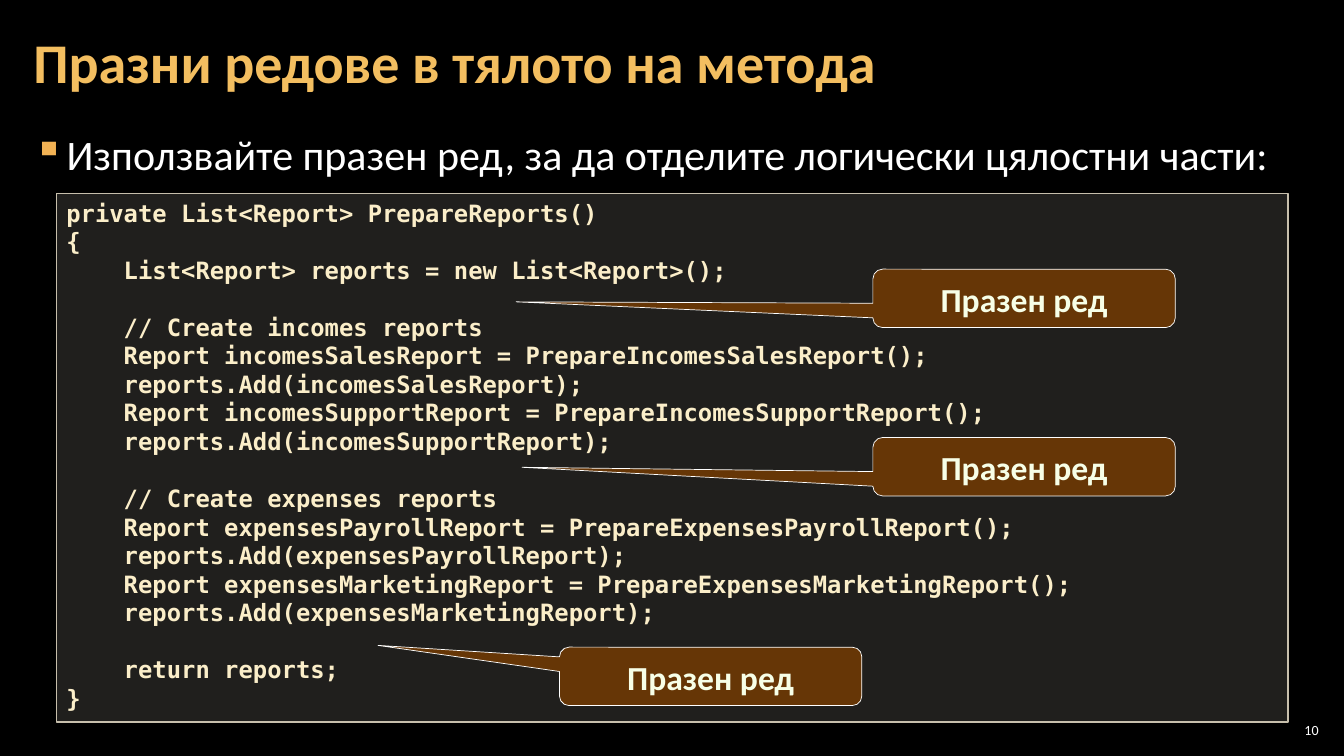
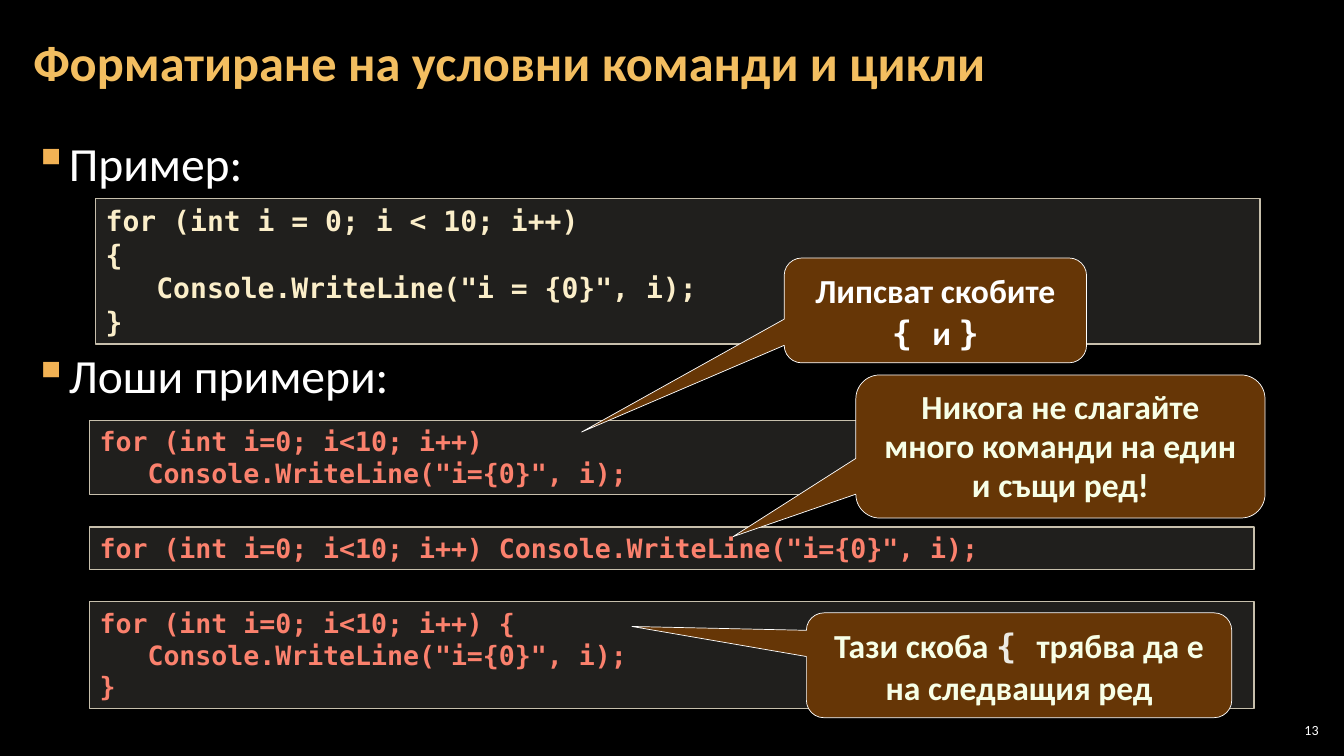
"""Build two slides on the formatting of code."""
import lxml.etree
import pptx
import pptx.dml.color
import pptx.enum.shapes
import pptx.enum.text
import pptx.oxml.ns
import pptx.util

WIDTH, HEIGHT = pptx.util.Inches(13.333), pptx.util.Inches(7.5)
SANS, MONO = "Calibri", "DejaVu Sans Mono"
BLACK, WHITE, GOLD, ORANGE = "000000", "FFFFFF", "F3BE60", "F2B254"
PANEL, PANEL_LINE, CREAM, RED = "D9D5C7", "C7BFAC", "FBEEC9", "FB816D"
BROWN, PALE, GREY = "663606", "F7FFE7", "ECEAE3"
LINE_PITCH, LINE_ROOM = 1.2, 1.21
ALIGN = pptx.enum.text.PP_ALIGN
ANCHOR = pptx.enum.text.MSO_ANCHOR
SHAPE = pptx.enum.shapes.MSO_SHAPE

METHOD_CODE = """private List<Report> PrepareReports()
{
    List<Report> reports = new List<Report>();

    // Create incomes reports
    Report incomesSalesReport = PrepareIncomesSalesReport();
    reports.Add(incomesSalesReport);
    Report incomesSupportReport = PrepareIncomesSupportReport();
    reports.Add(incomesSupportReport);

    // Create expenses reports
    Report expensesPayrollReport = PrepareExpensesPayrollReport();
    reports.Add(expensesPayrollReport);
    Report expensesMarketingReport = PrepareExpensesMarketingReport();
    reports.Add(expensesMarketingReport);

    return reports;
}"""
GOOD_LOOP = """for (int i = 0; i < 10; i++)
{
   Console.WriteLine("i = {0}", i);
}"""
BAD_LOOPS = [
    """for (int i=0; i<10; i++)
   Console.WriteLine("i={0}", i);""",
    """for (int i=0; i<10; i++) Console.WriteLine("i={0}", i);""",
    """for (int i=0; i<10; i++) {
   Console.WriteLine("i={0}", i);
}""",
]


def color(value):
    """Turn a hex string into a colour."""
    return pptx.dml.color.RGBColor.from_string(value)


def place(left, top, width, height):
    """Turn percentages of the slide's size into lengths."""
    shares = zip((left, top, width, height), (WIDTH, HEIGHT, WIDTH, HEIGHT))
    return [round(share * full / 100) for share, full in shares]


def assign(target, values):
    """Set each named attribute of the target."""
    for name, value in values.items():
        setattr(target, name, value)


def style(name, size, ink, bold=False):
    """Gather the format of a run."""
    return {"name": name, "size": pptx.util.Pt(size), "bold": bold, "ink": ink}


def add_runs(paragraph, text, run_style):
    """Add text in one style, with a line break at each vertical tab."""
    for index, part in enumerate(text.split("\v")):
        if index:
            paragraph.add_line_break()
        if part:
            run = paragraph.add_run()
            run.text = part
            assign(run.font, {key: run_style[key] for key in ("name", "size", "bold")})
            run.font.color.rgb = color(run_style["ink"])


def next_paragraph(frame):
    """Return the empty first paragraph, or a new one."""
    first = frame.paragraphs[0]
    return frame.add_paragraph() if first.runs else first


def add_text(slide, box, anchor=ANCHOR.TOP, inset=0.12):
    """Add a wrapped text box and return its frame."""
    frame = slide.shapes.add_textbox(*place(*box)).text_frame
    side, edge = pptx.util.Inches(inset), pptx.util.Inches(0.04)
    assign(frame, {"word_wrap": True, "vertical_anchor": anchor,
                   "margin_left": side, "margin_right": side,
                   "margin_top": edge, "margin_bottom": edge})
    return frame


def add_shape(slide, kind, box, fill, line, line_width):
    """Add a filled and outlined shape with its text at the top."""
    shape = slide.shapes.add_shape(kind, *place(*box))
    shape.shadow.inherit = False
    shape.fill.solid()
    shape.fill.fore_color.rgb = color(fill)
    shape.line.color.rgb = color(line)
    shape.line.width = pptx.util.Pt(line_width)
    assign(shape.text_frame, {"word_wrap": True, "vertical_anchor": ANCHOR.TOP})
    return shape


def add_slide(presentation, title, title_size, number):
    """Add a slide with its title and number."""
    slide = presentation.slides.add_slide(presentation.slide_layouts[6])
    heading = add_text(slide, (1.58, 0.53, 96.83, 16.13), ANCHOR.MIDDLE).paragraphs[0]
    heading.line_spacing = 0.9
    add_runs(heading, title, style(SANS, title_size, GOLD, True))
    footer = add_text(slide, (94.88, 95.2, 3.53, 2.8), ANCHOR.MIDDLE, 0.04).paragraphs[0]
    footer.alignment = ALIGN.RIGHT
    add_runs(footer, number, style(SANS, 10, WHITE))
    return slide


def add_bullets(slide, texts, size, line_spacing, gap=0):
    """Add bulleted paragraphs with a gap between them."""
    frame = add_text(slide, (1.58, 16.8, 96.83, 81.2))
    indent = pptx.util.Inches(0.33)
    for index, text in enumerate(texts):
        paragraph = next_paragraph(frame)
        properties = paragraph._p.get_or_add_pPr()
        properties.set("marL", str(indent))
        properties.set("indent", str(-indent))
        qualify = pptx.oxml.ns.qn
        bullet_color = lxml.etree.SubElement(properties, qualify("a:buClr"))
        lxml.etree.SubElement(bullet_color, qualify("a:srgbClr"), val=ORANGE)
        lxml.etree.SubElement(properties, qualify("a:buChar"), char="▪")
        assign(paragraph, {"line_spacing": line_spacing, "space_after": pptx.util.Pt(6),
                           "space_before": pptx.util.Pt(gap if index else 0)})
        add_runs(paragraph, text, style(SANS, size, WHITE))


def code_height(code, size):
    """Return the height of a code panel as a percentage."""
    points = len(code.split("\n")) * size * LINE_ROOM + 7.2
    return pptx.util.Pt(points) / HEIGHT * 100


def add_code(slide, code, left, top, width, size, ink=CREAM):
    """Add a translucent panel of code and return its bottom."""
    height = code_height(code, size)
    shape = add_shape(slide, SHAPE.RECTANGLE, (left, top, width, height), PANEL, PANEL_LINE, 1)
    tint = shape.fill._xPr.find(".//" + pptx.oxml.ns.qn("a:srgbClr"))
    lxml.etree.SubElement(tint, pptx.oxml.ns.qn("a:alpha"), val="15000")
    for line in code.replace("\n\n", "\n\v").split("\n"):
        paragraph = next_paragraph(shape.text_frame)
        assign(paragraph, {"alignment": ALIGN.LEFT,
                           "line_spacing": pptx.util.Pt(size * LINE_PITCH)})
        add_runs(paragraph, line, style(MONO, size, ink, True))
    return top + height


def add_callout(slide, box, tip, parts, spacing=30):
    """Add a callout whose tip is given as shares of its size from its centre."""
    shape = add_shape(slide, SHAPE.ROUNDED_RECTANGULAR_CALLOUT, box, BROWN, WHITE, 0.5)
    for index, value in enumerate((*tip, 0.167)):
        shape.adjustments[index] = value
    paragraph = shape.text_frame.paragraphs[0]
    assign(paragraph, {"alignment": ALIGN.CENTER, "line_spacing": pptx.util.Pt(spacing)})
    for text, name, ink in parts:
        add_runs(paragraph, text, style(name, 24, ink, True))


def build_empty_lines(presentation):
    """Build the slide on empty lines in a method."""
    slide = add_slide(presentation, "Празни редове в тялото на метода", 40, "10")
    add_bullets(slide, ["Използвайте празен ред, за да отделите логически цялостни части:"],
                30, pptx.util.Pt(34))
    add_code(slide, METHOD_CODE, 4.2, 25.6, 91.65, 17)
    for left, top, tip in ((64.95, 35.6, (-1.68, 0.06)), (64.95, 57.87, (-1.66, 0.01)),
                           (41.63, 85.6, (-1.1, -0.53))):
        add_callout(slide, (left, top, 22.5, 7.73), tip, [("Празен ред", SANS, PALE)])


def build_loops(presentation):
    """Build the slide on conditions and loops."""
    slide = add_slide(presentation, "Форматиране на условни команди и цикли", 36, "13")
    add_bullets(slide, ["Пример:", "Лоши примери:"], 34, 1.05, 103)
    add_code(slide, GOOD_LOOP, 7.13, 26.27, 86.63, 20)
    top = 55.6
    for code in BAD_LOOPS:
        top = add_code(slide, code, 6.68, top, 86.63, 19, RED) + 4.27
    add_callout(slide, (58.35, 34.13, 22.5, 13.87), (-1.17, 1.16),
                [("Липсват скобите\v", SANS, WHITE), ("{ ", MONO, WHITE),
                 ("и ", SANS, WHITE), ("}", MONO, WHITE)])
    add_callout(slide, (63.68, 49.6, 30.45, 18.93), (-0.8, 0.63),
                [("Никога не слагайте много команди на един и същи ред!", SANS, PALE)], 28)
    add_callout(slide, (60, 81.07, 31.65, 13.87), (-0.91, -0.37),
                [("Тази скоба ", SANS, PALE), ("{ ", MONO, GREY),
                 ("трябва да е на следващия ред", SANS, PALE)])


def main():
    """Build and save the presentation."""
    presentation = pptx.Presentation()
    assign(presentation, {"slide_width": WIDTH, "slide_height": HEIGHT})
    backdrop = presentation.slide_master.background.fill
    backdrop.solid()
    backdrop.fore_color.rgb = color(BLACK)
    build_empty_lines(presentation)
    build_loops(presentation)
    presentation.save("out.pptx")


if __name__ == "__main__":
    main()
